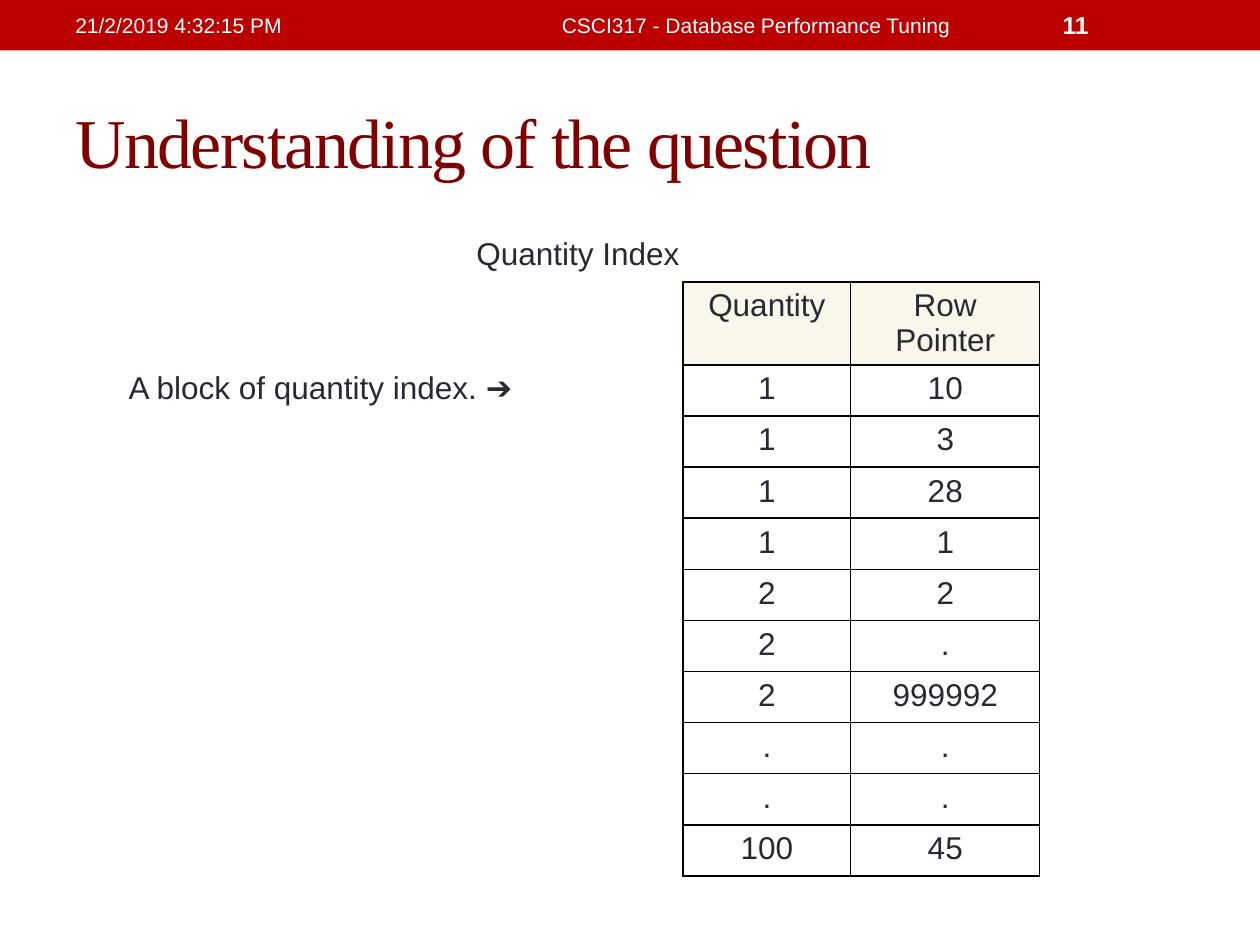
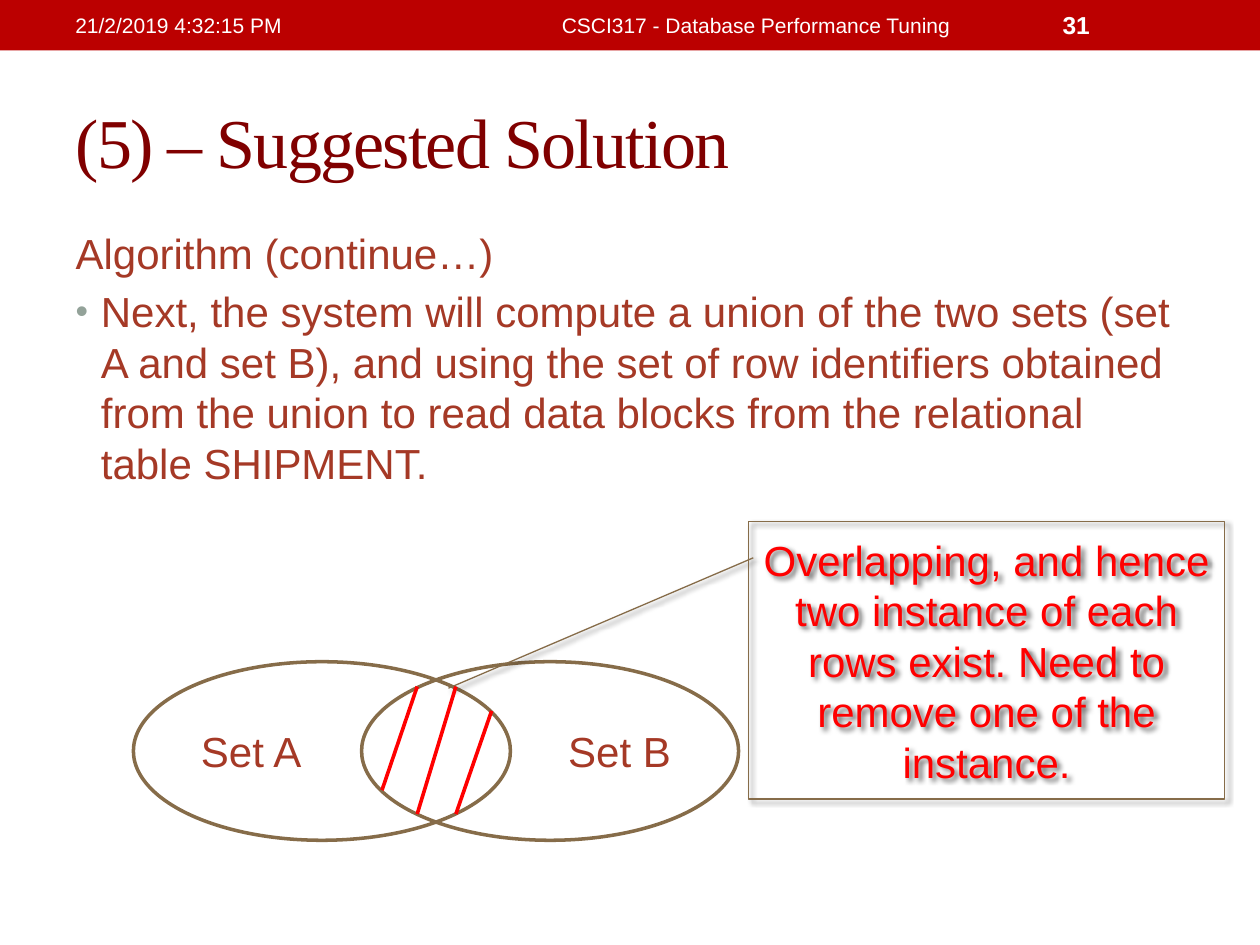
import pptx
import pptx.dml.color
import pptx.enum.shapes
import pptx.enum.text
import pptx.oxml.ns
import pptx.util
from lxml import etree

Cm = pptx.util.Cm
Pt = pptx.util.Pt
RGB = pptx.dml.color.RGBColor
Align = pptx.enum.text.PP_ALIGN
Shape = pptx.enum.shapes.MSO_SHAPE
qn = pptx.oxml.ns.qn

BAND = RGB(0xBB, 0x00, 0x00)
MAROON = RGB(0x80, 0x00, 0x00)
RUST = RGB(0xA5, 0x39, 0x26)
BROWN = RGB(0x86, 0x6C, 0x49)
INK = RGB(0x29, 0x29, 0x34)
CREAM = RGB(0xF8, 0xF7, 0xEA)
GREY = RGB(0x93, 0xA2, 0x99)
RED = RGB(0xFF, 0x00, 0x00)
BLACK = RGB(0x00, 0x00, 0x00)
WHITE = RGB(0xFF, 0xFF, 0xFF)

SANS, SERIF = "Arial", "Times New Roman"
PLAIN = "{2D5ABB26-0587-4C30-8999-92F81FD0307C}"  # table style without grid
MIDDLE = pptx.enum.text.MSO_ANCHOR.MIDDLE
TOP = pptx.enum.text.MSO_ANCHOR.TOP

DATE = "21/2/2019 4:32:15 PM"
COURSE = "CSCI317 - Database Performance Tuning"


def apply(item, form):
    for name, value in form.items():
        setattr(item, name, value)


def node(parent, tag, **attrs):
    """Append a drawing element to parent."""
    return etree.SubElement(parent, qn(tag), {k: str(v) for k, v in attrs.items()})


def tint(parent, color):
    return node(parent, "a:srgbClr", val=color)


class Deck:
    def __init__(self):
        self.show = pptx.Presentation()
        apply(self.show, {"slide_width": Cm(25.4), "slide_height": Cm(19.05)})
        self.slide = None

    def start(self, layout, title, number):
        """Add a slide with its title and the texts on the band."""
        first = self.slide is None
        self.slide = self.show.slides.add_slide(self.show.slide_layouts[layout])
        if first:
            self.band()
        head = self.slide.shapes.title
        self.place(head, 1.27, 1.47, 22.86, 2.74)
        run = self.text(head.text_frame, title, MAROON, 40, face=SERIF)
        run.font._element.set("spc", "-100")
        self.label(DATE, 1.27, 8.05)
        self.label(COURSE, 9.53, 11.43, align=Align.CENTER)
        self.label(number, 21.17, 2.96, size=14, bold=True)

    def band(self):
        """Put the top band on the slide master, behind all else."""
        bar = self.shape(Shape.RECTANGLE, 0, 0, 25.4, 1.02)
        bar.fill.solid()
        bar.fill.fore_color.rgb = BAND
        bar.line.fill.background()
        self.show.slide_master.shapes.element.insert(2, bar._element)

    def place(self, item, left, top, width, height):
        apply(item, {"left": Cm(left), "top": Cm(top),
                     "width": Cm(width), "height": Cm(height)})

    def text(self, frame, words, color, size, anchor=MIDDLE, **form):
        apply(frame, {"word_wrap": True, "vertical_anchor": anchor,
                      "auto_size": pptx.enum.text.MSO_AUTO_SIZE.NONE})
        return self.para(frame.paragraphs[0], words, color, size, **form)

    def para(self, para, words, color, size, align=Align.LEFT, face=SANS, bold=False):
        para.alignment = align
        run = para.add_run()
        run.text = words
        apply(run.font, {"name": face, "size": Pt(size), "bold": bold})
        run.font.color.rgb = color
        return run

    def label(self, words, left, width, size=12, **form):
        box = self.slide.shapes.add_textbox(Cm(left), Cm(0.05), Cm(width), Cm(0.91))
        self.text(box.text_frame, words, WHITE, size, **form)

    def body(self, lead, point):
        """Fill the body with a plain lead line and one bullet."""
        item = self.slide.placeholders[1]
        self.place(item, 1.27, 4.45, 22.86, 13.54)
        frame = item.text_frame
        self.text(frame, lead, RUST, 24, anchor=TOP)
        self.para(frame.add_paragraph(), point, RUST, 24)
        for para, dent in zip(frame.paragraphs, (0, 0.51)):
            para.space_before = Pt(4.8)
            props = para._p.get_or_add_pPr()
            props.set("marL", str(Cm(dent)))
            props.set("indent", str(-Cm(dent)))
            if dent:
                tint(node(props, "a:buClr"), GREY)
                node(props, "a:buSzPct", val=85000)
                node(props, "a:buFont", typeface=SANS)
                node(props, "a:buChar", char="•")
            else:
                node(props, "a:buNone")

    def shape(self, kind, left, top, width, height):
        item = self.slide.shapes.add_shape(kind, Cm(left), Cm(top), Cm(width), Cm(height))
        item.shadow.inherit = False
        return item

    def outline(self, kind, spot, words, color, width, align):
        """Add an unfilled shape with a brown line and text."""
        item = self.shape(kind, *spot)
        item.fill.background()
        item.line.color.rgb = BROWN
        item.line.width = Pt(width)
        self.text(item.text_frame, words, color, 24, align=align)
        return item

    def callout(self, spot, words, bends):
        item = self.outline(Shape.LINE_CALLOUT_1, spot, words, RED, 0.75, Align.CENTER)
        for i, bend in enumerate(bends):
            item.adjustments[i] = bend
        glow = item._element.spPr.find(qn("a:effectLst"))
        shade = node(glow, "a:outerShdw", blurRad=Pt(3), dist=Pt(2),
                     dir=45 * 60000, rotWithShape=0)
        node(tint(shade, BLACK), "a:alpha", val=60000)

    def stroke(self, *ends):
        line = self.slide.shapes.add_connector(
            pptx.enum.shapes.MSO_CONNECTOR.STRAIGHT, *map(Cm, ends))
        line.line.color.rgb = RED
        line.line.width = Pt(2.08)
        node(line._element.spPr, "a:effectLst")

    def cell(self, cell, words, align=Align.CENTER):
        self.para(cell.text_frame.paragraphs[0], words, INK, 18, align)

    def index(self, name, note, heads, pairs):
        """Draw a captioned index table with a note at its left."""
        rows, widths = len(pairs) + 2, (11.43, 3.38, 3.81)
        table = self.slide.shapes.add_table(
            rows, 3, Cm(2.34), Cm(4.65), Cm(sum(widths)), Cm(1.03 * rows)).table
        apply(table, {"first_row": False, "horz_banding": False})
        table._tbl.tblPr.find(qn("a:tableStyleId")).text = PLAIN
        for col, width in zip(table.columns, widths):
            col.width = Cm(width)
        for row in table.rows:
            row.height = Cm(1.03)
        table.cell(0, 0).merge(table.cell(0, 2))
        table.cell(2, 0).merge(table.cell(rows - 1, 0))
        self.cell(table.cell(0, 0), name)
        self.cell(table.cell(2, 0), note, Align.LEFT)
        for r, pair in enumerate([heads, *pairs], 1):
            for c, words in enumerate(pair, 1):
                cell = table.cell(r, c)
                self.cell(cell, words)
                self.frame(cell)
                if r == 1:
                    cell.fill.solid()
                    cell.fill.fore_color.rgb = CREAM

    def frame(self, cell):
        """Give a cell black borders on all sides."""
        props = cell._tc.get_or_add_tcPr()
        for side in "LRTB":
            edge = node(props, f"a:ln{side}", w=Pt(1))
            tint(node(edge, "a:solidFill"), BLACK)


def main():
    deck = Deck()

    deck.start(5, "Understanding of the question", "11")
    left = ["1"] * 4 + ["2"] * 3 + [".", ".", "100"]
    right = ["10", "3", "28", "1", "2", ".", "999992", ".", ".", "45"]
    deck.index("Quantity Index", "A block of quantity index. ➔",
               ("Quantity", "Row Pointer"), list(zip(left, right)))

    deck.start(1, "(5) – Suggested Solution", "31")
    deck.body("Algorithm (continue…)",
              "Next, the system will compute a union of the two sets (set A and set B), "
              "and using the set of row identifiers obtained from the union to read data "
              "blocks from the relational table SHIPMENT.")
    for words, x, align in (("Set A", 2.69, Align.LEFT), ("Set B", 7.29, Align.RIGHT)):
        deck.outline(Shape.OVAL, (x, 13.34, 7.6, 3.6), words, RUST, 2, align)
    deck.callout((15.09, 10.52, 9.6, 5.59),
                 "Overlapping, and hence two instance of each rows exist. "
                 "Need to remove one of the instance.",
                 (0.13, 0.01, 0.6, -0.63))
    for ends in ((9.91, 14.33, 9.19, 16.41), (8.41, 13.84, 7.7, 15.93),
                 (9.19, 13.84, 8.41, 16.41)):
        deck.stroke(*ends)

    deck.show.save("out.pptx")


if __name__ == "__main__":
    main()
